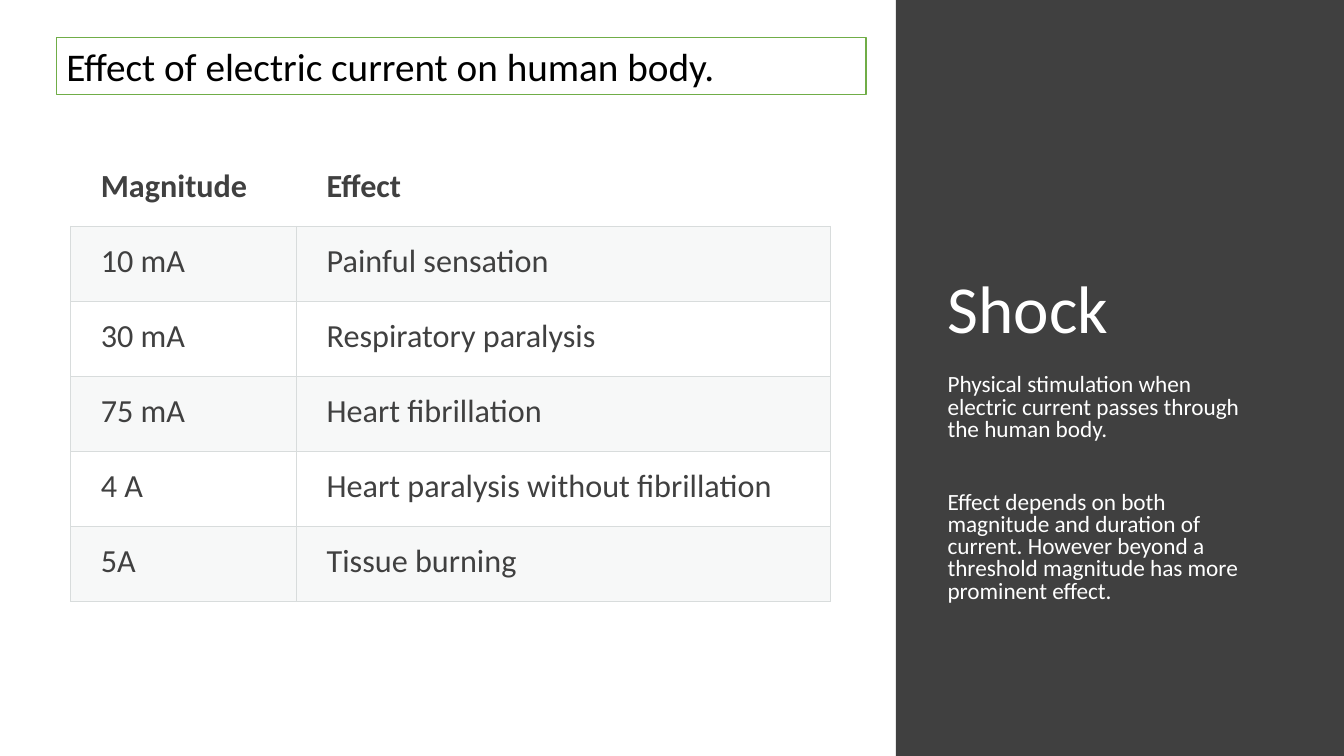
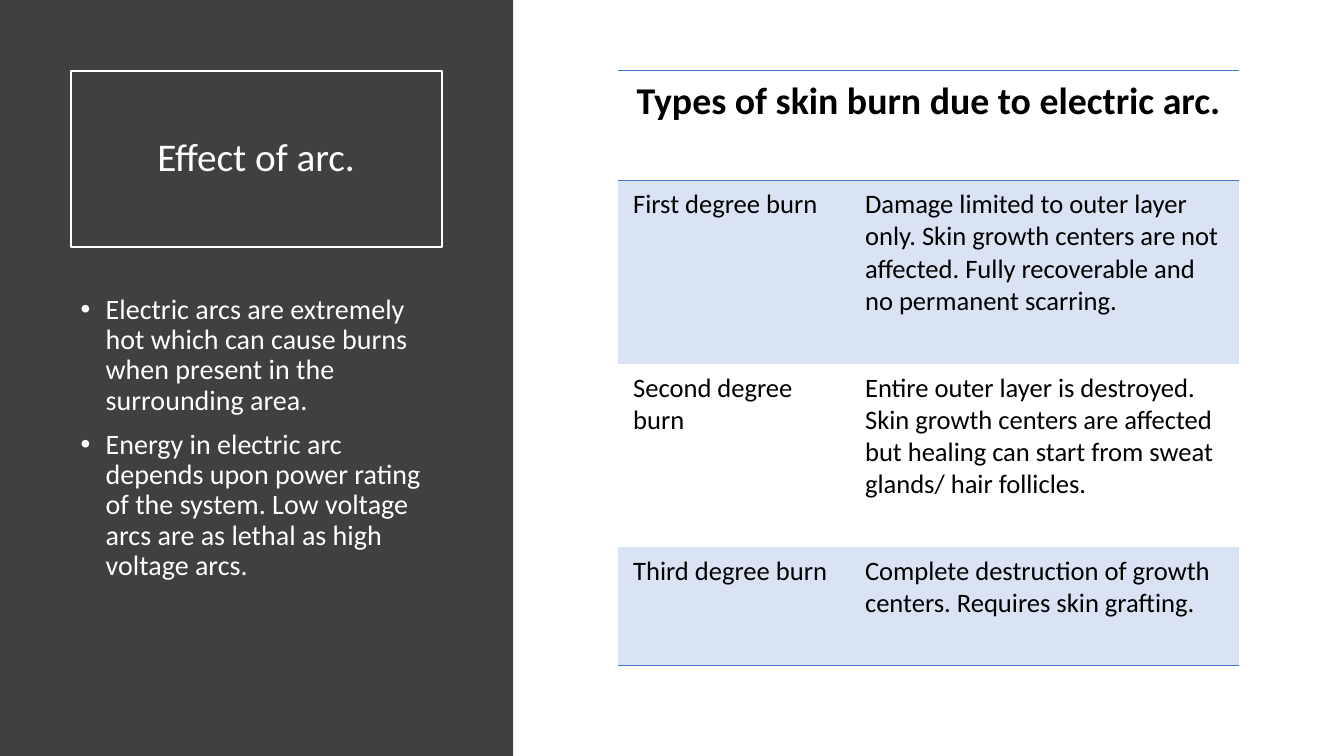
import pptx
import pptx.util
import pptx.dml.color
import pptx.enum.shapes
import pptx.enum.text
import pptx.oxml
import pptx.oxml.ns
import lxml.etree

Inches = pptx.util.Inches
Pt = pptx.util.Pt
Align = pptx.enum.text.PP_ALIGN
Anchor = pptx.enum.text.MSO_ANCHOR
qn = pptx.oxml.ns.qn

WIDE, HIGH = 13.33, 7.5
FONT = "Calibri"
PLAIN = "{2D5ABB26-0587-4C30-8999-92F81FD0307C}"
COLORS = {
    "dark": "404040", "white": "FFFFFF", "black": "000000",
    "green": "70AD47", "blue": "4472C4", "pale": "DAE3F3",
    "rule": "D8DCDC", "mist": "F7F8F8",
}


def color(name):
    return pptx.dml.color.RGBColor.from_string(COLORS[name])


def style(para, size, ink, bold=False, align=Align.LEFT, lead=1.0):
    para.font.name, para.font.size = FONT, Pt(size)
    para.font.color.rgb, para.font.bold = color(ink), bold
    para.alignment, para.line_spacing = align, lead


def panel(slide, box, fill=None, line=None, width=1):
    shape = slide.shapes.add_shape(
        pptx.enum.shapes.MSO_SHAPE.RECTANGLE, *map(Inches, box))
    shape.shadow.inherit = False
    if fill:
        shape.fill.solid()
        shape.fill.fore_color.rgb = color(fill)
    else:
        shape.fill.background()
    if line:
        shape.line.color.rgb = color(line)
        shape.line.width = Pt(width)
    else:
        shape.line.fill.background()
    return shape


def write(shape, texts, size, ink="white", anchor=Anchor.TOP, gaps=None, **look):
    frame = shape.text_frame
    frame.word_wrap, frame.vertical_anchor = True, anchor
    for i, text in enumerate(texts):
        para = frame.paragraphs[0] if i == 0 else frame.add_paragraph()
        para.text = text
        style(para, size, ink, **look)
        if gaps:
            para.space_before = Pt(gaps[i])
    return frame


def label(slide, box, texts, size, **look):
    return write(slide.shapes.add_textbox(*map(Inches, box)), texts, size, **look)


def bullet(para):
    props = para._p.get_or_add_pPr()
    props.set("marL", str(Inches(0.25)))
    props.set("indent", str(-Inches(0.25)))
    font = lxml.etree.SubElement(props, qn("a:buFont"))
    font.set("typeface", "Arial")
    lxml.etree.SubElement(props, qn("a:buChar")).set("char", "•")


def edge(cell, sides, ink, width):
    props = cell._tc.get_or_add_tcPr()
    for side in "LRTB":
        line = lxml.etree.SubElement(props, qn("a:ln" + side))
        if side in sides:
            line.set("w", str(Pt(width)))
            fill = lxml.etree.SubElement(line, qn("a:solidFill"))
            lxml.etree.SubElement(fill, qn("a:srgbClr")).set("val", COLORS[ink])
        else:
            line.set("w", "0")
            lxml.etree.SubElement(line, qn("a:noFill"))


def grid(slide, box, cols, rows, data, pads, sizes, ink, band, rule, width, sides,
         head=Align.LEFT):
    frame = slide.shapes.add_table(len(rows), len(cols), *map(Inches, box))
    for mark in frame.element.iter(qn("a:tableStyleId")):
        mark.text = PLAIN
    table = frame.table
    for col, size in zip(table.columns, cols):
        col.width = Inches(size)
    for r, (row, texts) in enumerate(zip(table.rows, data)):
        row.height = Inches(rows[r])
        for cell, text in zip(row.cells, texts):
            (cell.margin_left, cell.margin_top,
             cell.margin_right, cell.margin_bottom) = map(Inches, pads)
            cell.text = text
            style(cell.text_frame.paragraphs[0], sizes[r > 0], ink,
                  bold=r == 0, align=Align.LEFT if r else head)
            edge(cell, sides[r], rule, width)
            if r % 2:
                cell.fill.solid()
                cell.fill.fore_color.rgb = color(band)
            else:
                cell.fill.background()
    return table


def shock(slide):
    left = WIDE * 2 / 3
    panel(slide, (left, 0, WIDE - left, HIGH), "dark")
    label(slide, (9.3, 0.7, 3.41, 2.8), ["Shock"], 48, anchor=Anchor.BOTTOM, lead=0.9)
    label(slide, (9.3, 3.67, 3.33, 2.54), [
        "Physical\u00a0stimulation when electric current passes\u00a0through the human body.",
        "Effect depends on both magnitude and duration of current. "
        "However beyond a threshold magnitude has more prominent effect.",
    ], 16.6, lead=0.8, gaps=(10, 36))
    data = [
        ("Magnitude", "Effect"),
        ("10 mA", "Painful sensation"),
        ("30 mA", "Respiratory paralysis"),
        ("75 mA", "Heart fibrillation"),
        ("4 A", "Heart paralysis without fibrillation"),
        ("5A", "Tissue burning"),
    ]
    count = len(data)
    grid(slide, (0.7, 1.5, 7.54, 4.47), (2.24, 5.3), [4.47 / count] * count, data,
         (0.3, 0.15, 0.15, 0.15), (23, 23), "dark", "mist", "rule", 0.75,
         ["B"] + ["LRTB"] * (count - 1))
    title = panel(slide, (0.56, 0.37, 8.03, 0.57), "white", "green")
    write(title, ["Effect of electric current on human body."], 28, ink="black",
          anchor=Anchor.MIDDLE)


def arc(slide):
    left, top, wide = 0.7, 0.7, 3.68
    panel(slide, (0, 0, 5.09, HIGH), "dark")
    title = panel(slide, (left, top, wide, 1.75), line="white", width=1.5)
    write(title, ["Effect of arc."], 28, anchor=Anchor.MIDDLE,
          align=Align.CENTER, lead=0.9)
    body = label(slide, (left, 2.88, wide, 3.74), [
        "Electric arcs are extremely hot which can cause burns "
        "when present in the surrounding area.\u00a0",
        "Energy in electric arc depends\u00a0upon power rating of the system. "
        "Low voltage arcs\u00a0are as lethal as high voltage arcs.",
    ], 20, lead=0.9, gaps=(10, 10))
    for para in body.paragraphs:
        bullet(para)
    data = [
        ("Types of skin burn due to electric arc.", ""),
        ("First degree burn",
         "Damage limited to outer layer only. Skin growth centers are not affected. "
         "Fully recoverable and no permanent scarring."),
        ("Second degree burn",
         "Entire outer layer is destroyed. Skin growth centers are affected "
         "but healing can start from sweat glands/ hair follicles.\u00a0"),
        ("Third degree burn",
         "Complete destruction of growth centers. Requires skin grafting."),
    ]
    table = grid(slide, (6.13, top, 6.16, 5.92), (2.3, 3.86), (1.09, 1.82, 1.82, 1.17),
                 data, (0.15, 0.08, 0.15, 0.08), (27, 19), "black", "pale", "blue", 1,
                 ["TB", "T", "", "B"], head=Align.CENTER)
    table.cell(0, 0).merge(table.cell(0, 1))


deck = pptx.Presentation()
deck.slide_width, deck.slide_height = Inches(WIDE), Inches(HIGH)
for build in (shock, arc):
    build(deck.slides.add_slide(deck.slide_layouts[6]))
deck.save("out.pptx")
